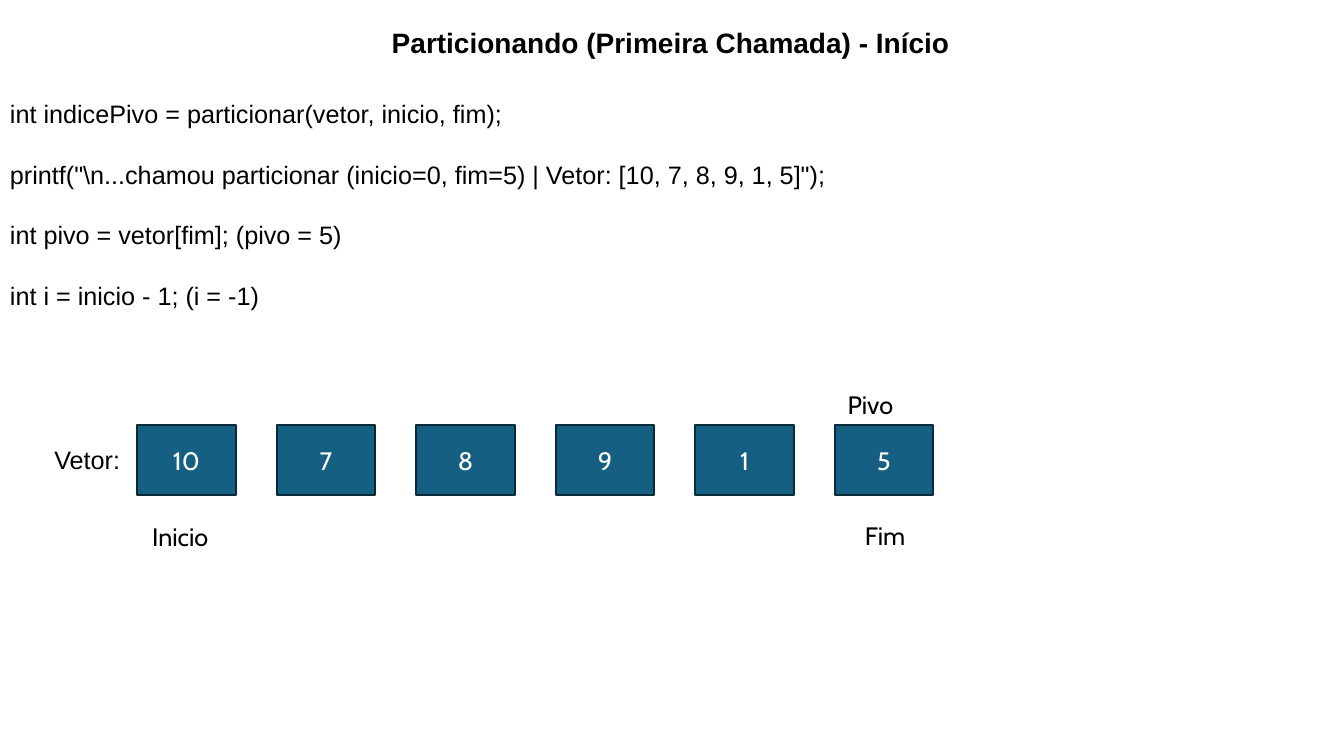
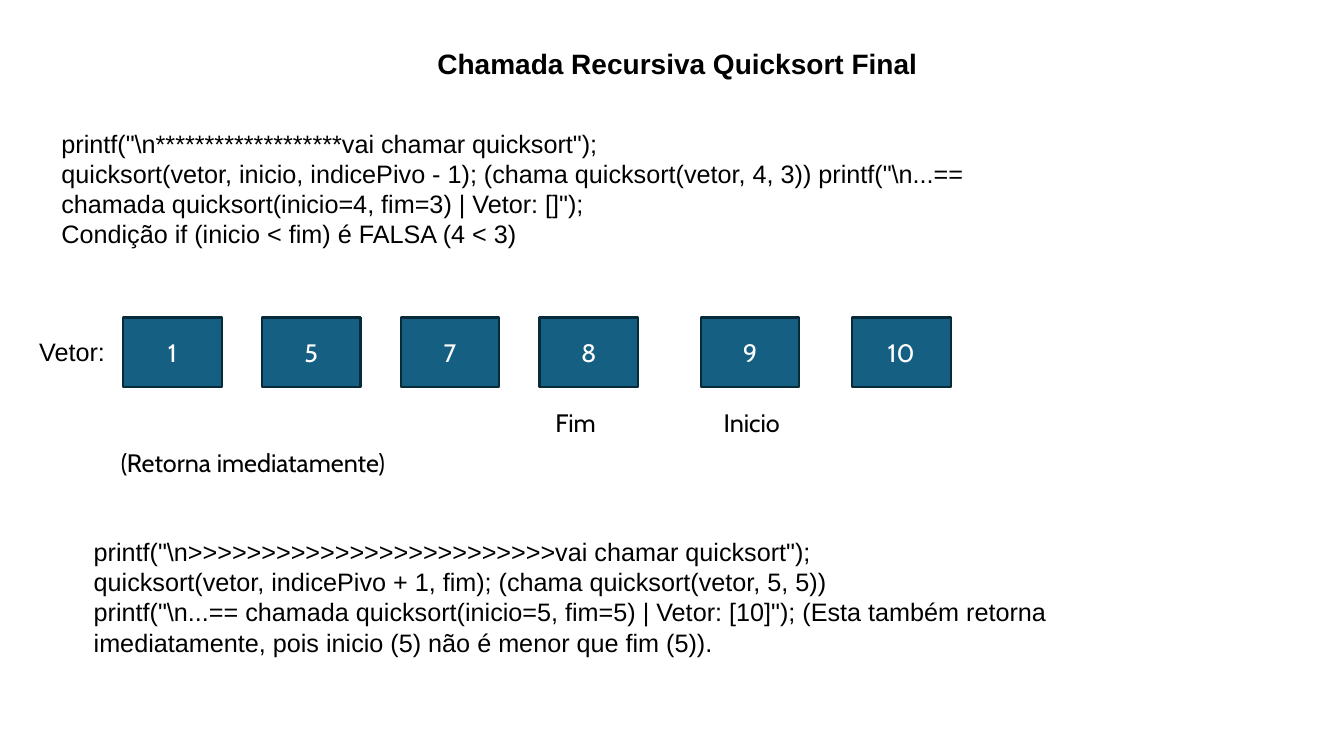
from pptx import Presentation
from pptx.dml.color import RGBColor
from pptx.enum.shapes import MSO_SHAPE
from pptx.enum.text import MSO_ANCHOR, PP_ALIGN
from pptx.util import Inches, Pt

COLORS = {"text": "000000", "cell": "156082", "edge": "092A39", "value": "FFFFFF"}
CODE, LABEL = "Arial", "Cabin"
BODY, TITLE = 18, 20
LEADING = 1.2
LINE_H, TITLE_H = 5.33, 5.87
CELL_W, CELL_H = 7.35, 9.2

prs = Presentation()
prs.slide_width, prs.slide_height = Inches(13.333), Inches(7.5)


def share(x, y, w, h):
    """Turn percentages of the slide's width and height into lengths."""
    across, down = prs.slide_width / 100, prs.slide_height / 100
    return int(x * across), int(y * down), int(w * across), int(h * down)


def write(sp, lines, font=CODE, size=BODY, color="text", bold=False,
          align=PP_ALIGN.LEFT, gap=0):
    """Fill a shape with one paragraph per line; gap is counted in lines."""
    tf = sp.text_frame
    tf.word_wrap = True
    for i, line in enumerate(lines):
        p = tf.paragraphs[0] if i == 0 else tf.add_paragraph()
        p.alignment = align
        if font == CODE:
            p.line_spacing = Pt(size * LEADING)
        if i and gap:
            p.space_before = Pt(gap * size * LEADING)
        r = p.add_run()
        r.text = line
        r.font.name, r.font.size, r.font.bold = font, Pt(size), bold
        r.font.color.rgb = RGBColor.from_string(COLORS[color])


# Boxes are (left, top, width[, height]) in percent of the slide.
# Cell runs are (left, pitch, values); labels add their alignment.
slides = [
    {
        "title": ("Particionando (Primeira Chamada) - Início", 16.95, 2.67, 65.93),
        "code": [
            ((0, 12.4, 65.33, 37.73), 1, [
                "int indicePivo = particionar(vetor, inicio, fim);",
                r'printf("\n...chamou particionar (inicio=0, fim=5) | Vetor: [10, 7, 8, 9, 1, 5]");',
                "int pivo = vetor[fim]; (pivo = 5)",
                "int i = inicio - 1; (i = -1)",
            ]),
        ],
        "vector": (3.3, 58.13),
        "cells_top": 56.27,
        "cells": [(10.2, 10.38, [10, 7, 8, 9, 1, 5])],
        "labels": [
            ("Inicio", 10.58, 68.27, 6.68, PP_ALIGN.LEFT),
            ("Fim", 62.48, 68.13, 6.75, PP_ALIGN.CENTER),
            ("Pivo", 62.33, 50.8, 6.98, PP_ALIGN.LEFT),
        ],
    },
    {
        "title": ("Chamada Recursiva Quicksort Final", 21.98, 5.47, 56.85),
        "code": [
            ((3.83, 16.27, 75, 21.6), 0, [
                r'printf("\n*******************vai chamar quicksort");',
                "quicksort(vetor, inicio, indicePivo - 1); (chama quicksort(vetor, 4, 3)) "
                r'printf("\n...== chamada quicksort(inicio=4, fim=3) | Vetor: []");',
                "Condição if (inicio < fim) é FALSA (4 < 3)",
            ]),
            ((6.23, 70.27, 78.75, 21.6), 0, [
                r'printf("\n>>>>>>>>>>>>>>>>>>>>>>>>>vai chamar quicksort");',
                "quicksort(vetor, indicePivo + 1, fim); (chama quicksort(vetor, 5, 5))",
                r'printf("\n...== chamada quicksort(inicio=5, fim=5) | Vetor: [10]"); '
                "(Esta também retorna imediatamente, pois inicio (5) não é menor que fim (5)).",
            ]),
        ],
        "vector": (2.18, 43.87),
        "cells_top": 42,
        "cells": [(9.15, 10.33, [1, 5, 7, 8]), (52.13, 11.25, [9, 10])],
        "labels": [
            ("Inicio", 53.1, 53.2, 6.38, PP_ALIGN.LEFT),
            ("Fim", 40.58, 53.2, 6.38, PP_ALIGN.LEFT),
            ("(Retorna imediatamente)", 8.25, 58.53, 30, PP_ALIGN.LEFT),
        ],
    },
]

for content in slides:
    s = prs.slides.add_slide(prs.slide_layouts[6])

    title, *box = content["title"]
    write(s.shapes.add_textbox(*share(*box, TITLE_H)), [title],
          size=TITLE, bold=True, align=PP_ALIGN.CENTER)

    for box, gap, lines in content["code"]:
        write(s.shapes.add_textbox(*share(*box)), lines, gap=gap)

    write(s.shapes.add_textbox(*share(*content["vector"], 79, LINE_H)), ["Vetor:"])

    for left, pitch, values in content["cells"]:
        for i, value in enumerate(values):
            box = share(left + i * pitch, content["cells_top"], CELL_W, CELL_H)
            sp = s.shapes.add_shape(MSO_SHAPE.RECTANGLE, *box)
            sp.shadow.inherit = False
            sp.fill.solid()
            sp.fill.fore_color.rgb = RGBColor.from_string(COLORS["cell"])
            sp.line.color.rgb = RGBColor.from_string(COLORS["edge"])
            sp.line.width = Pt(1.5)
            sp.text_frame.vertical_anchor = MSO_ANCHOR.MIDDLE
            write(sp, [str(value)], font=LABEL, color="value", align=PP_ALIGN.CENTER)

    for label, left, top, width, align in content["labels"]:
        write(s.shapes.add_textbox(*share(left, top, width, LINE_H)), [label],
              font=LABEL, align=align)

prs.save("out.pptx")
